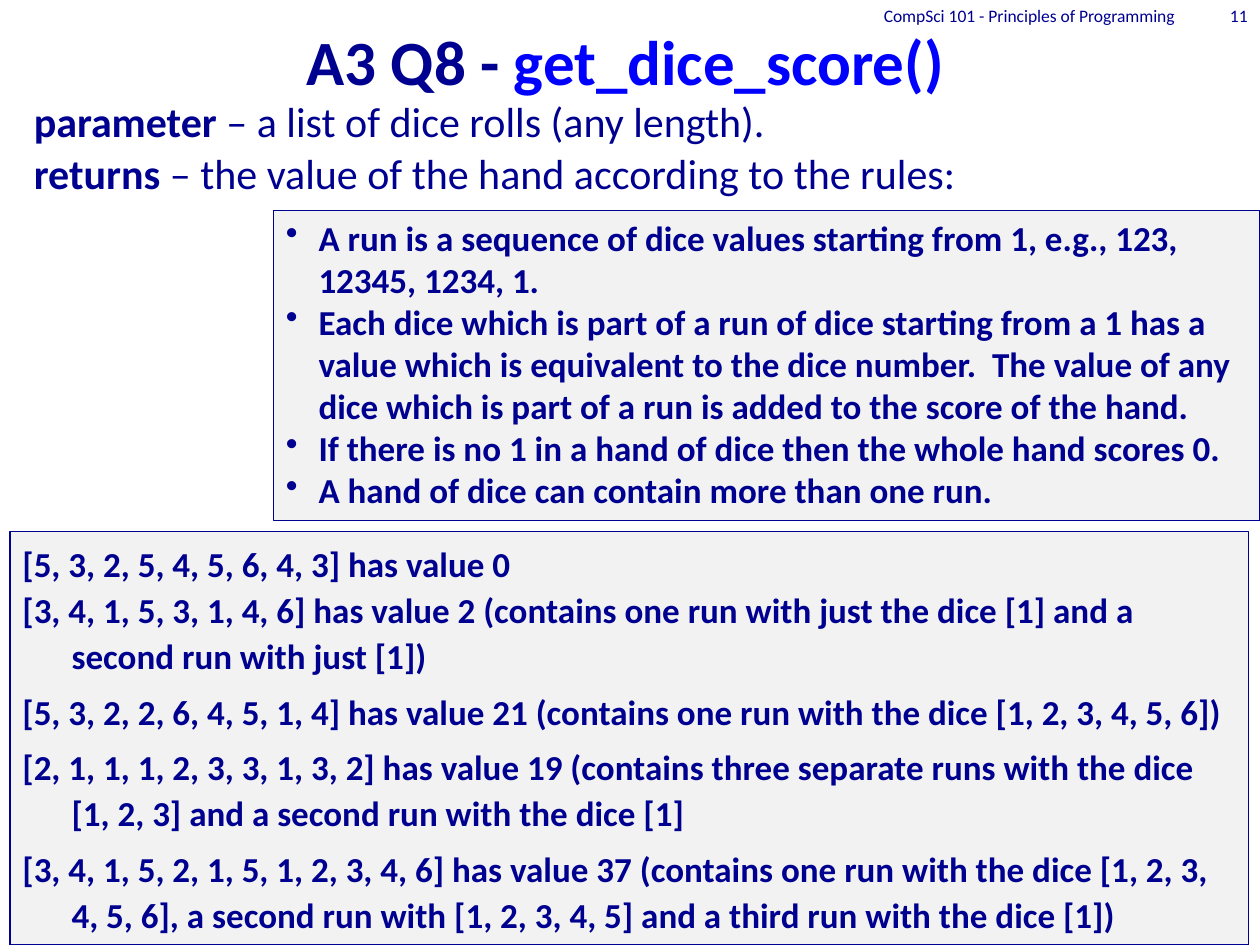
from pptx import Presentation
from pptx.dml.color import RGBColor
from pptx.enum.shapes import MSO_SHAPE
from pptx.enum.text import MSO_ANCHOR, PP_ALIGN
from pptx.oxml.ns import qn
from pptx.util import Inches, Pt
from lxml import etree

NAVY = RGBColor(0x00, 0x00, 0x90)
BLUE = RGBColor(0x00, 0x00, 0xFF)
PALE_GREY = RGBColor(0xF2, 0xF2, 0xF2)
LEFT, CENTER, RIGHT = PP_ALIGN.LEFT, PP_ALIGN.CENTER, PP_ALIGN.RIGHT
TOP, MIDDLE, BOTTOM = MSO_ANCHOR.TOP, MSO_ANCHOR.MIDDLE, MSO_ANCHOR.BOTTOM
RECTANGLE = MSO_SHAPE.RECTANGLE


class SlideBuilder:
    font_name = "Calibri"
    color = NAVY

    def __init__(self, page):
        self.page = page

    def style(self, para, size, bold=None, align=LEFT, hanging=0, bullet=None):
        para.alignment = align
        if hanging:
            properties = para._p.get_or_add_pPr()
            properties.set("marL", str(Inches(hanging)))
            properties.set("indent", str(-Inches(hanging)))
            if bullet:
                etree.SubElement(properties, qn("a:buChar")).set("char", bullet)
        para.font.name = self.font_name
        para.font.size = Pt(size)
        para.font.bold = bold
        para.font.color.rgb = self.color

    def text(self, place, lines, size, anchor=TOP, gap=0, spacing=1, **style):
        """Each line is a list of (text, bold, color) spans; None inherits."""
        box = self.page.shapes.add_textbox(*map(Inches, place))
        frame = box.text_frame
        frame.word_wrap = True
        frame.vertical_anchor = anchor
        for index, spans in enumerate(lines):
            para = frame.paragraphs[0] if index == 0 else frame.add_paragraph()
            para.line_spacing = spacing
            if index:
                para.space_before = Pt(gap)
            self.style(para, size, **style)
            for words, bold, color in spans:
                span = para.add_run()
                span.text = words
                if bold is not None:
                    span.font.bold = bold
                if color is not None:
                    span.font.color.rgb = color

    def panel(self, place, lines, hanging, spacing=1, bullet=None):
        """Each line is a (text, space before in points) pair."""
        box = self.page.shapes.add_shape(RECTANGLE, *map(Inches, place))
        box.shadow.inherit = False
        box.fill.solid()
        box.fill.fore_color.rgb = PALE_GREY
        box.line.color.rgb = self.color
        box.line.width = Pt(0.75)
        frame = box.text_frame
        frame.word_wrap = True
        frame.vertical_anchor = TOP
        for index, (words, gap) in enumerate(lines):
            para = frame.paragraphs[0] if index == 0 else frame.add_paragraph()
            para.text = words
            para.line_spacing = spacing
            if gap:
                para.space_before = Pt(gap)
            self.style(para, 20, bold=True, hanging=hanging, bullet=bullet)


RULES = [
    "A run is a sequence of dice values starting from 1, e.g., 123, 12345, 1234, 1.",
    "Each dice which is part of a run of dice starting from a 1 has a value which is "
    "equivalent to the dice number.  The value of any dice which is part of a run is "
    "added to the score of the hand.",
    "If there is no 1 in a hand of dice then the whole hand scores 0.",
    "A hand of dice can contain more than one run.",
]
EXAMPLES = [
    ("[5, 3, 2, 5, 4, 5, 6, 4, 3] has value 0", 0),
    ("[3, 4, 1, 5, 3, 1, 4, 6] has value 2 (contains one run with just the dice [1] "
     "and a second run with just [1])", 0),
    ("[5, 3, 2, 2, 6, 4, 5, 1, 4] has value 21 (contains one run with the dice "
     "[1, 2, 3, 4, 5, 6])", 5.4),
    ("[2, 1, 1, 1, 2, 3, 3, 1, 3, 2] has value 19 (contains three separate runs with "
     "the dice [1, 2, 3] and a second run with the dice [1]", 5.4),
    ("[3, 4, 1, 5, 2, 1, 5, 1, 2, 3, 4, 6] has value 37 (contains one run with the dice "
     "[1, 2, 3, 4, 5, 6], a second run with [1, 2, 3, 4, 5] and a third run with the "
     "dice [1])", 5.4),
]
SUMMARY = [
    ("parameter", " – a list of dice rolls (any length)."),
    ("returns", " – the value of the hand according to the rules:"),
]


def main():
    deck = Presentation()
    deck.slide_width, deck.slide_height = Inches(10), Inches(7.5)
    builder = SlideBuilder(deck.slides.add_slide(deck.slide_layouts[6]))

    # Parameter and return value
    builder.text((0.17, 0.75, 9.83, 0.92),
                 [[(term, True, None), (meaning, None, None)] for term, meaning in SUMMARY],
                 24, gap=4, spacing=0.9, hanging=0.19)

    # Title; the closing space is part of the centred line
    builder.text((0.04, 0, 9.96, 0.83),
                 [[("A3 Q8 - ", None, None), ("get_dice_score() ", None, BLUE)]],
                 36, anchor=BOTTOM, bold=True, align=CENTER)

    # Course name and page number
    for left, width, words in [(6.42, 3, "CompSci 101 - Principles of Programming"),
                               (9.42, 0.58, "11")]:
        builder.text((left, 0.04, width, 0.17), [[(words, None, None)]],
                     10, anchor=MIDDLE, align=RIGHT)

    # Scoring rules and worked examples
    builder.panel((2.17, 1.67, 7.83, 2.46), [(rule, 0) for rule in RULES],
                  hanging=0.26, bullet="•")
    builder.panel((0.08, 4.22, 9.83, 3.28), EXAMPLES, hanging=0.39, spacing=1.1)

    deck.save("out.pptx")


if __name__ == "__main__":
    main()
